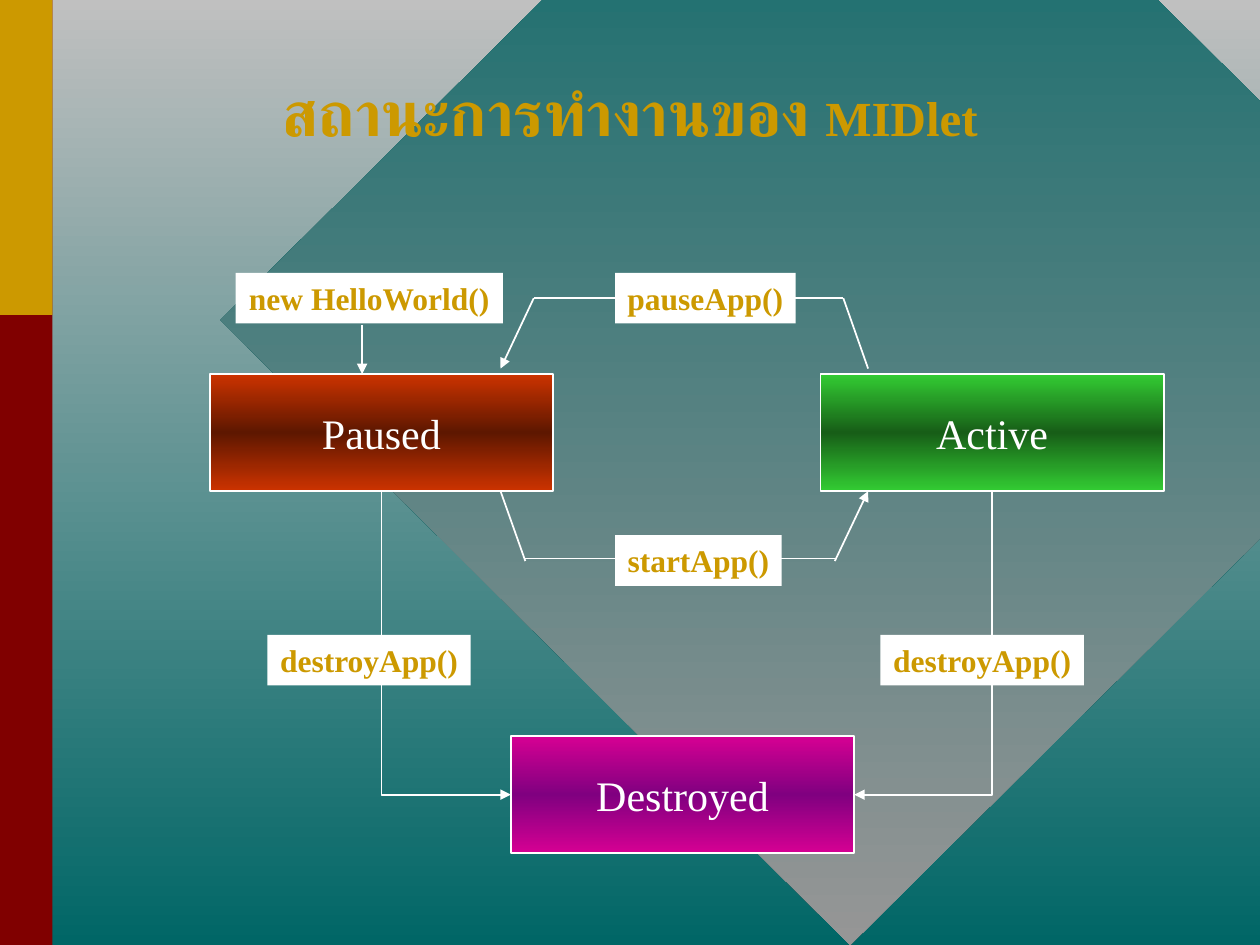
from copy import deepcopy
from dataclasses import dataclass

from pptx import Presentation
from pptx.dml.color import RGBColor
from pptx.enum.shapes import MSO_CONNECTOR as Connector, MSO_SHAPE as Shape
from pptx.enum.text import MSO_ANCHOR as Anchor, MSO_AUTO_SIZE as AutoSize, PP_ALIGN as Align
from pptx.oxml.ns import qn
from pptx.util import Cm, Pt
from lxml.etree import SubElement


@dataclass(frozen=True)
class Theme:
    backdrop: tuple = ("C0C0C0", "006666")
    diamond: tuple = ("006666", "969696")
    paused: tuple = ("CC3300", "5E1700", "CC3300")
    active: tuple = ("33CC33", "175E17", "33CC33")
    destroyed: tuple = ("D60093", "800080", "D60093")
    maroon: str = "800000"
    gold: str = "CC9900"
    white: str = "FFFFFF"
    font: str = "Times New Roman"
    thai_font: str = "Lato"
    thai_title_size: int = 36
    title_size: int = 28
    state_size: int = 24
    label_size: int = 18
    line_width: int = 1


def rgb(value):
    return RGBColor.from_string(value)


def add_text(paragraph, text, *, font, size, color, bold=False):
    paragraph.alignment = Align.CENTER
    run = paragraph.add_run()
    run.text = text
    run.font.name = font
    run.font.size = Pt(size)
    run.font.bold = bold
    run.font.color.rgb = rgb(color)
    SubElement(run.font._element, qn("a:cs")).set("typeface", font)


def fill_gradient(fill, colors, parent):
    """Fill from top to bottom with evenly spaced colours."""
    fill.gradient()
    fill.gradient_angle = 270
    stop_list = next(parent.iter(qn("a:gsLst")))
    while len(stop_list) < len(colors):
        stop_list.append(deepcopy(stop_list[-1]))
    for index, (stop, color) in enumerate(zip(fill.gradient_stops, colors)):
        stop.position = index / (len(colors) - 1)
        stop.color.rgb = rgb(color)


class Diagram:
    def __init__(self, slide, theme):
        self.slide = slide
        self.theme = theme

    def backdrop(self, colors):
        fill_gradient(self.slide.background.fill, colors, self.slide.element)

    def block(self, left, top, width, height, fill, kind=Shape.RECTANGLE):
        """Add a borderless shape; a tuple of colours makes a gradient."""
        shape = self.slide.shapes.add_shape(kind, Cm(left), Cm(top), Cm(width), Cm(height))
        shape.shadow.inherit = False
        shape.line.fill.background()
        if isinstance(fill, tuple):
            fill_gradient(shape.fill, fill, shape.element)
        else:
            shape.fill.solid()
            shape.fill.fore_color.rgb = rgb(fill)
        return shape

    def state(self, text, left, top, colors):
        theme = self.theme
        shape = self.block(left, top, STATE_WIDTH, STATE_HEIGHT, colors)
        shape.line.color.rgb = rgb(theme.white)
        shape.line.width = Pt(theme.line_width)
        frame = shape.text_frame
        frame.word_wrap = False
        frame.vertical_anchor = Anchor.MIDDLE
        add_text(frame.paragraphs[0], text, font=theme.font,
                 size=theme.state_size, color=theme.white)

    def label(self, text, left, top, width):
        theme = self.theme
        frame = self.block(left, top, width, 1.02, theme.white).text_frame
        frame.word_wrap = False
        frame.auto_size = AutoSize.SHAPE_TO_FIT_TEXT
        frame.vertical_anchor = Anchor.TOP
        frame.margin_left = frame.margin_right = Cm(0.22)
        add_text(frame.paragraphs[0], text, font=theme.font,
                 size=theme.label_size, color=theme.gold, bold=True)

    def line(self, start, end, arrow=False, kind=Connector.STRAIGHT):
        connector = self.slide.shapes.add_connector(kind, *map(Cm, (*start, *end)))
        connector.line.color.rgb = rgb(self.theme.white)
        connector.line.width = Pt(self.theme.line_width)
        properties = connector._element.spPr
        if arrow:
            SubElement(properties.find(qn("a:ln")), qn("a:tailEnd")).set("type", "triangle")
        SubElement(properties, qn("a:effectLst"))
        return properties

    def elbow(self, start, end):
        """Add an arrow that runs down from start, then sideways to end."""
        (x1, y1), (x2, y2) = start, end
        middle_x, middle_y = (x1 + x2) / 2, (y1 + y2) / 2
        half_width, half_height = (y2 - y1) / 2, abs(x2 - x1) / 2
        direction = 1 if x2 < x1 else -1
        properties = self.line(
            (middle_x - direction * half_width, middle_y - half_height),
            (middle_x + direction * half_width, middle_y + half_height),
            arrow=True, kind=Connector.ELBOW)
        properties.find(qn("a:prstGeom")).set("prst", "bentConnector2")
        rotation = 90 if direction > 0 else 270
        properties.find(qn("a:xfrm")).set("rot", str(rotation * 60000))

    def title(self, thai, latin):
        theme = self.theme
        box = self.slide.shapes.add_textbox(0, Cm(1.35), Cm(SLIDE_WIDTH), Cm(1.78))
        frame = box.text_frame
        frame.word_wrap = True
        frame.auto_size = AutoSize.SHAPE_TO_FIT_TEXT
        paragraph = frame.paragraphs[0]
        add_text(paragraph, thai, font=theme.thai_font,
                 size=theme.thai_title_size, color=theme.gold, bold=True)
        add_text(paragraph, latin, font=theme.font,
                 size=theme.title_size, color=theme.gold, bold=True)


SLIDE_WIDTH, SLIDE_HEIGHT = 25.4, 19.05
BAR_WIDTH = 1.06
STATE_WIDTH, STATE_HEIGHT = 6.92, 2.36
PAUSED_LEFT, ACTIVE_LEFT, DESTROYED_LEFT = 4.23, 16.54, 10.3
STATE_TOP, DESTROYED_TOP = 7.54, 14.84
STATE_BOTTOM = STATE_TOP + STATE_HEIGHT
DESTROYED_MIDDLE = DESTROYED_TOP + STATE_HEIGHT / 2
PAUSE_Y, START_Y = 6.01, 11.26
LOOP_LEFT, LOOP_RIGHT = 10.09, 17.5


def main():
    presentation = Presentation()
    presentation.slide_width = Cm(SLIDE_WIDTH)
    presentation.slide_height = Cm(SLIDE_HEIGHT)
    theme = Theme()
    diagram = Diagram(presentation.slides.add_slide(presentation.slide_layouts[6]), theme)

    diagram.backdrop(theme.backdrop)
    diagram.block(4.44, -6.15, 25.4, 25.2, theme.diamond, kind=Shape.DIAMOND)
    diagram.block(0, 0, BAR_WIDTH, SLIDE_HEIGHT, theme.maroon)
    diagram.block(0, 0, BAR_WIDTH, SLIDE_HEIGHT / 3, theme.gold)

    diagram.state("Paused", PAUSED_LEFT, STATE_TOP, theme.paused)
    diagram.state("Active", ACTIVE_LEFT, STATE_TOP, theme.active)
    diagram.state("Destroyed", DESTROYED_LEFT, DESTROYED_TOP, theme.destroyed)

    for state_left, target_x in ((PAUSED_LEFT, DESTROYED_LEFT),
                                 (ACTIVE_LEFT, DESTROYED_LEFT + STATE_WIDTH)):
        diagram.elbow((state_left + STATE_WIDTH / 2, STATE_BOTTOM),
                      (target_x, DESTROYED_MIDDLE))

    for start, end, arrow in (
        ((7.3, 6.55), (7.3, STATE_TOP), True),
        ((LOOP_LEFT, STATE_BOTTOM), (10.59, 11.31), False),
        ((10.59, START_Y), (16.83, START_Y), False),
        ((16.83, 11.31), (LOOP_RIGHT, STATE_BOTTOM), True),
        ((LOOP_RIGHT, 7.43), (17, PAUSE_Y), False),
        ((17, PAUSE_Y), (10.76, PAUSE_Y), False),
        ((10.76, PAUSE_Y), (LOOP_LEFT, 7.43), True),
    ):
        diagram.line(start, end, arrow)

    for text, left, top, width in (
        ("pauseApp()", 12.4, 5.5, 3.64),
        ("destroyApp()", 5.39, 12.8, 4.1),
        ("destroyApp()", 17.75, 12.8, 4.1),
        ("new HelloWorld()", 4.75, 5.5, 5.39),
        ("startApp()", 12.4, 10.79, 3.36),
    ):
        diagram.label(text, left, top, width)

    diagram.title("สถานะการทำงานของ ", "MIDlet")
    presentation.save("out.pptx")


if __name__ == "__main__":
    main()
